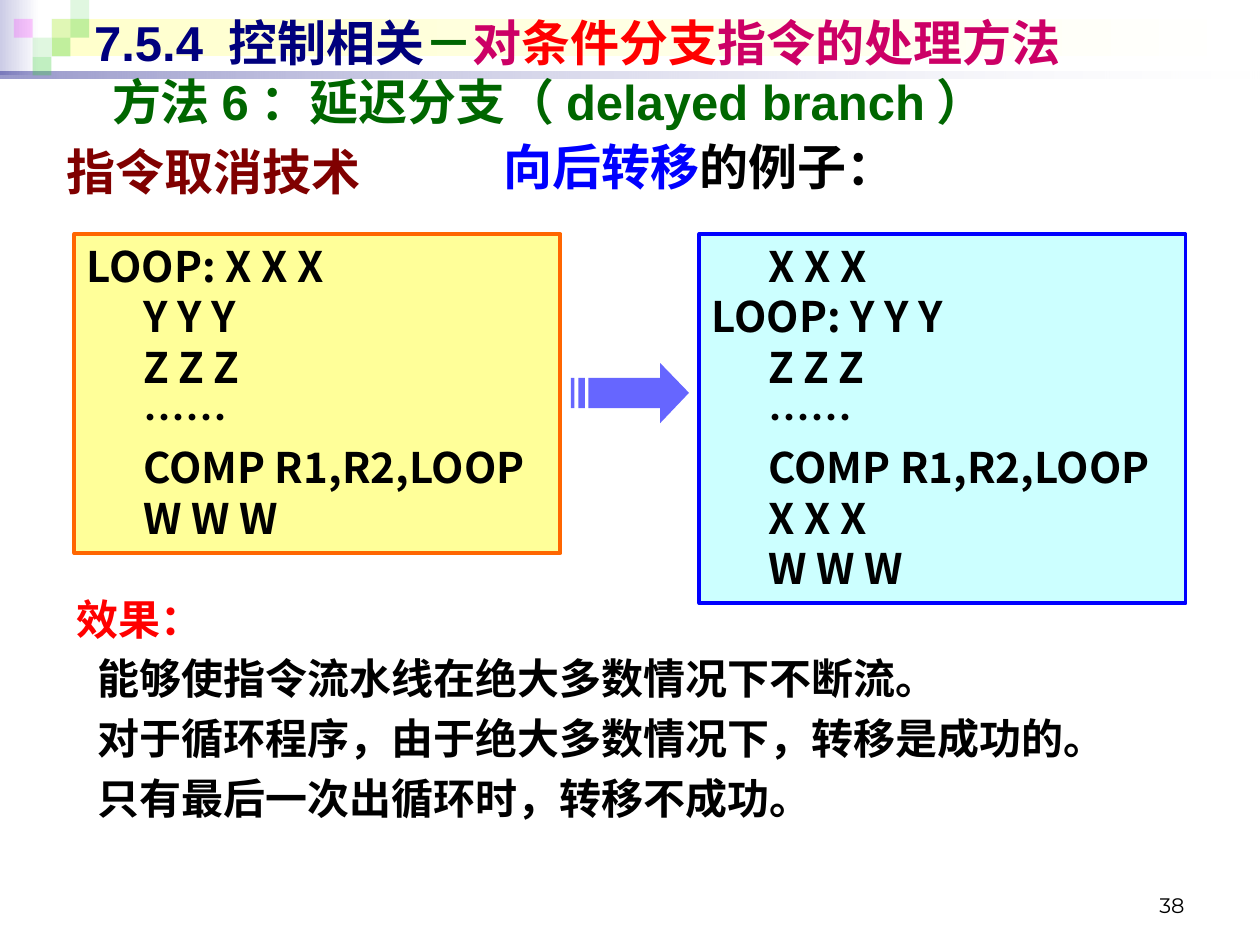
from dataclasses import dataclass
from typing import Optional

from lxml.etree import SubElement
from pptx import Presentation
from pptx.dml.color import RGBColor
from pptx.enum.shapes import MSO_SHAPE as Preset
from pptx.enum.text import MSO_ANCHOR as Anchor, PP_ALIGN as Align
from pptx.oxml.ns import qn
from pptx.util import Cm, Pt

WHITE = RGBColor(0xFF, 0xFF, 0xFF)
BLACK = RGBColor(0x00, 0x00, 0x00)
NAVY = RGBColor(0x00, 0x00, 0x7D)
LAVENDER = RGBColor(0xCC, 0xCC, 0xE6)
CREAM = RGBColor(0xFF, 0xFF, 0xCC)
GREEN = RGBColor(0x33, 0xCC, 0x33)
MAGENTA = RGBColor(0xFF, 0x00, 0xFF)
DARK_GREEN = RGBColor(0x00, 0x66, 0x00)
CRIMSON = RGBColor(0xCC, 0x00, 0x66)
RED = RGBColor(0xFF, 0x00, 0x00)
MAROON = RGBColor(0x80, 0x00, 0x00)
BLUE = RGBColor(0x00, 0x00, 0xFF)
YELLOW = RGBColor(0xFF, 0xFF, 0x99)
ORANGE = RGBColor(0xFF, 0x66, 0x00)
PALE_CYAN = RGBColor(0xCC, 0xFF, 0xFF)
PERIWINKLE = RGBColor(0x66, 0x66, 0xFF)

CJK_FONT = "Noto Sans CJK SC"
SQUARE = 0.38


@dataclass
class Box:
    left: float
    top: float
    width: float
    height: float


@dataclass
class GradientBar:
    box: Box
    start: RGBColor
    start_alpha: int = 100
    end_alpha: int = 100


@dataclass
class Square:
    column: int
    row: int
    color: RGBColor
    alpha: int


@dataclass
class Line:
    runs: list[tuple[str, RGBColor]]
    indent: float = 0


@dataclass
class TextStyle:
    size: float
    font: str = CJK_FONT
    bold: bool = True
    line_points: Optional[float] = None
    space_before: float = 0
    anchor: Anchor = Anchor.TOP
    align: Align = Align.LEFT


@dataclass
class CodeBox:
    box: Box
    fill: RGBColor
    border: RGBColor
    lines: list[str]


BARS = [
    GradientBar(Box(0, 0, 0.79, 1.52), LAVENDER),
    GradientBar(Box(1.04, 0.38, 24.26, 0.76), CREAM),
    GradientBar(Box(0, 1.45, 25.4, 0.13), NAVY, 40, 10),
]
SQUARES = [
    Square(2, 1, GREEN, 15), Square(3, 0, GREEN, 15), Square(3, 1, GREEN, 30),
    Square(1, 2, GREEN, 15), Square(0, 1, MAGENTA, 20), Square(2, 2, GREEN, 30),
    Square(1, 3, GREEN, 30),
]
TITLE = [("7.5.4 控制相关", NAVY), ("－", DARK_GREEN), ("对", CRIMSON),
         ("条件分支", RED), ("指令的处理方法", CRIMSON)]
TITLE_STYLE = TextStyle(28, "Arial", anchor=Anchor.MIDDLE)
TEXTS = [
    (Box(18.21, 17.35, 5.92, 1.27), [Line([("38", BLACK)])],
     TextStyle(12, "Montserrat", False, anchor=Anchor.BOTTOM, align=Align.RIGHT)),
    (Box(1.65, 0.13, 22.86, 1.45), [Line(TITLE)], TITLE_STYLE),
    (Box(9.91, 2.51, 9.4, 1.8), [Line([("向后转移", BLUE), ("的例子：", BLACK)])],
     TextStyle(28, "Times New Roman", line_points=37)),
    (Box(2.01, 1.32, 22.91, 1.45),
     [Line([("方法6：延迟分支（delayed branch）", DARK_GREEN)])], TITLE_STYLE),
    (Box(1.09, 2.72, 23.6, 1.6), [Line([("指令取消技术", MAROON)])],
     TextStyle(28, line_points=33.6)),
    (Box(1.3, 11.73, 22, 5.03),
     [Line([("效果：", RED)])] + [Line([(text, BLACK)], 0.41) for text in (
         "能够使指令流水线在绝大多数情况下不断流。",
         "对于循环程序，由于绝大多数情况下，转移是成功的。",
         "只有最后一次出循环时，转移不成功。")],
     TextStyle(24, line_points=31.7, space_before=2.4)),
]
CODE_STYLE = TextStyle(24, line_points=28.8)
CODE_BOXES = [
    CodeBox(Box(1.5, 4.72, 9.8, 6.43), YELLOW, ORANGE,
            ["LOOP: X X X", "Y Y Y", "Z Z Z", "……", "COMP R1,R2,LOOP", "W W W"]),
    CodeBox(Box(14.1, 4.72, 9.8, 7.44), PALE_CYAN, BLUE,
            ["X X X", "LOOP: Y Y Y", "Z Z Z", "……", "COMP R1,R2,LOOP", "X X X", "W W W"]),
]
ARROW_HEAD = [(13.31, 7.32), (13.31, 7.62), (11.86, 7.62), (11.86, 8.23),
              (13.31, 8.23), (13.31, 8.53), (13.89, 7.92)]
ARROW_STRIPES = [[(left, 7.62), (left, 8.23), (right, 8.23), (right, 7.62)]
                 for left, right in ((11.66, 11.79), (11.51, 11.58))]


def lengths(box: Box) -> tuple:
    return Cm(box.left), Cm(box.top), Cm(box.width), Cm(box.height)


def add_rectangle(slide, box: Box):
    shape = slide.shapes.add_shape(Preset.RECTANGLE, *lengths(box))
    shape.shadow.inherit = False
    return shape


def set_alphas(shape, alphas: list[int]) -> None:
    for color, alpha in zip(shape.fill._xPr.iter(qn("a:srgbClr")), alphas):
        if alpha < 100:
            SubElement(color, qn("a:alpha")).set("val", str(alpha * 1000))


def add_bar(slide, bar: GradientBar) -> None:
    shape = add_rectangle(slide, bar.box)
    shape.fill.gradient()
    shape.fill.gradient_angle = 0
    for stop, color, position in zip(shape.fill.gradient_stops, (bar.start, WHITE), (0, 1)):
        stop.color.rgb = color
        stop.position = position
    set_alphas(shape, [bar.start_alpha, bar.end_alpha])
    shape.line.fill.background()


def add_square(slide, square: Square) -> None:
    box = Box(0.28 + square.column * SQUARE, square.row * SQUARE, SQUARE, SQUARE)
    shape = add_rectangle(slide, box)
    shape.fill.solid()
    shape.fill.fore_color.rgb = square.color
    set_alphas(shape, [square.alpha])
    shape.line.fill.background()


def write_lines(shape, lines: list[Line], style: TextStyle) -> None:
    frame = shape.text_frame
    frame.word_wrap = True
    frame.vertical_anchor = style.anchor
    for index, line in enumerate(lines):
        paragraph = frame.add_paragraph() if index else frame.paragraphs[0]
        paragraph.alignment = style.align
        paragraph.space_before = Pt(style.space_before)
        if style.line_points:
            paragraph.line_spacing = Pt(style.line_points)
        font = paragraph.font
        font.size, font.bold, font.name = Pt(style.size), style.bold, style.font
        properties = paragraph._p.pPr
        properties.set("marL", str(Cm(line.indent)))
        SubElement(properties.find(qn("a:defRPr")), qn("a:ea")).set("typeface", CJK_FONT)
        for text, color in line.runs:
            run = paragraph.add_run()
            run.text = text
            run.font.color.rgb = color


def add_code_box(slide, code: CodeBox) -> None:
    shape = add_rectangle(slide, code.box)
    shape.fill.solid()
    shape.fill.fore_color.rgb = code.fill
    shape.line.color.rgb = code.border
    shape.line.width = Pt(2.25)
    lines = [Line([(text, BLACK)], 0 if text.startswith("LOOP") else 1.14) for text in code.lines]
    write_lines(shape, lines, CODE_STYLE)


def add_striped_arrow(slide) -> None:
    outlines = [[(Cm(x), Cm(y)) for x, y in points] for points in [ARROW_HEAD, *ARROW_STRIPES]]
    builder = slide.shapes.build_freeform(*outlines[0][0])
    for index, points in enumerate(outlines):
        if index:
            builder.move_to(*points[0])
        builder.add_line_segments(points[1:], close=True)
    shape = builder.convert_to_shape()
    shape.shadow.inherit = False
    shape.fill.solid()
    shape.fill.fore_color.rgb = PERIWINKLE
    shape.line.fill.background()


def main() -> None:
    """Build the delayed branch slide with its two loop listings."""
    presentation = Presentation()
    presentation.slide_width, presentation.slide_height = Cm(25.4), Cm(19.05)
    slide = presentation.slides.add_slide(presentation.slide_layouts[6])
    for bar in BARS:
        add_bar(slide, bar)
    for square in SQUARES:
        add_square(slide, square)
    for box, lines, style in TEXTS:
        write_lines(slide.shapes.add_textbox(*lengths(box)), lines, style)
    for code in CODE_BOXES:
        add_code_box(slide, code)
    add_striped_arrow(slide)
    presentation.save("out.pptx")


if __name__ == "__main__":
    main()
